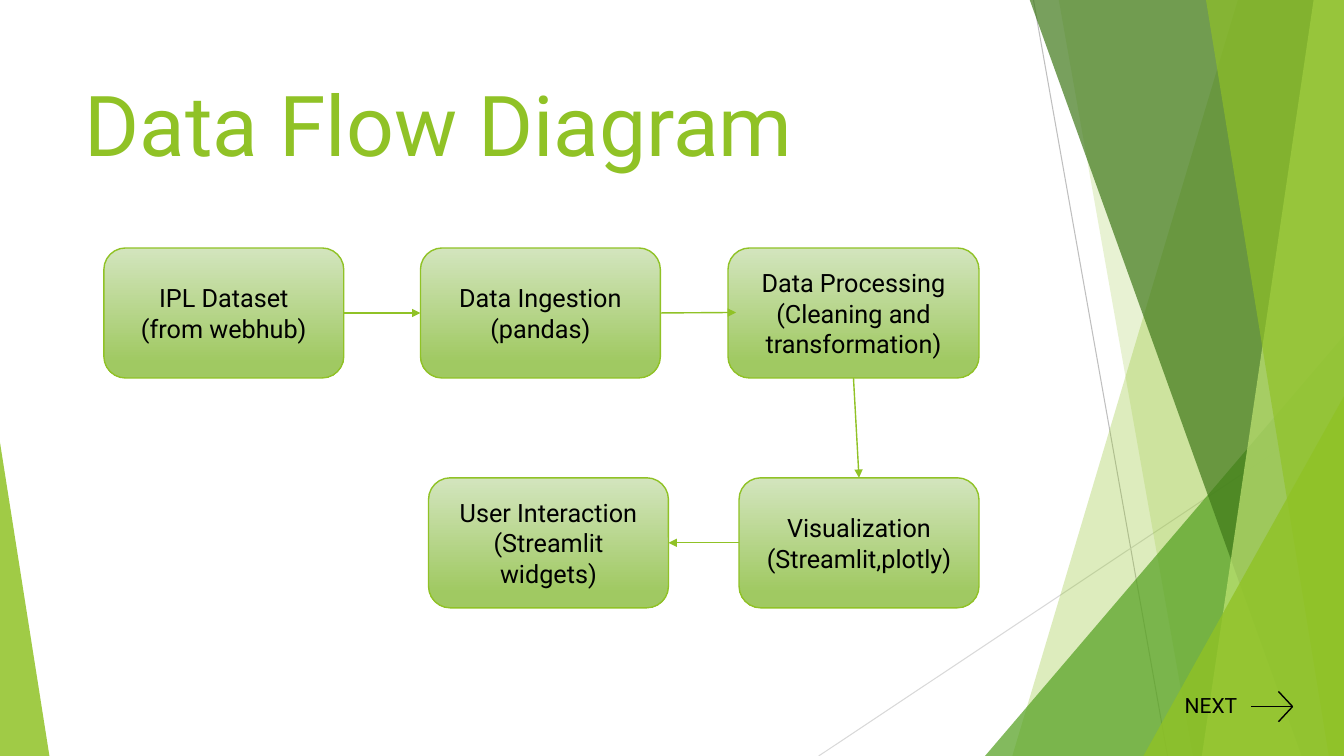
from lxml import etree
from pptx import Presentation
from pptx import util as u
from pptx.dml.color import RGBColor
from pptx.enum import shapes, text
from pptx.oxml.ns import qn

FONT = "Roboto"
GREEN = "90C226"
BLACK = "000000"
TOP, LEFT, BOTTOM, RIGHT = range(4)
SLIDE_W, SLIDE_H = 13.33, 7.5
BOX_H = 1.29
ROW_1, ROW_2 = 2.46, 4.74

GUIDE_LINES = [
    ((10.25, 0), (11.58, SLIDE_H), "BFBFBF"),
    ((SLIDE_W, 4.03), (8.12, SLIDE_H), "D9D9D9"),
]
BACK_PANELS = [(12.28, 10.04, GREEN, 30), (10.5, 11.83, GREEN, 20)]
FRONT_PANELS = [
    (10.21, 12.91, "3F7819", 70),
    (13.03, 11.92, "C0E474", 70),
    (11.96, 13.18, GREEN, 65),
]
STEPS = {
    "dataset": (1.03, ROW_1, 2.38, ["IPL Dataset", "(from webhub)"]),
    "ingestion": (4.17, ROW_1, 2.38, ["Data Ingestion", "(pandas)"]),
    "processing": (7.22, ROW_1, 2.49, ["Data Processing", "(Cleaning and transformation)"]),
    "visualization": (7.33, ROW_2, 2.38, ["Visualization", "(Streamlit,plotly)"]),
    "interaction": (4.25, ROW_2, 2.38, ["User Interaction", "(Streamlit widgets)"]),
}


def colour(value):
    return RGBColor.from_string(value)


def add_span(para, words, size, value):
    span = para.add_run()
    span.text = words
    span.font.name = FONT
    span.font.size = u.Pt(size)
    span.font.color.rgb = colour(value)


def fill_clear(shape, value, opacity):
    shape.shadow.inherit = False
    shape.line.fill.background()
    shape.fill.solid()
    shape.fill.fore_color.rgb = colour(value)
    tint = shape.fill._xPr.find(qn("a:solidFill"))[0]
    etree.SubElement(tint, qn("a:alpha")).set("val", str(opacity * 1000))


def add_panel(page, top_x, bottom_x, value, opacity):
    top = u.Inches(-0.01)
    right, bottom = u.Inches(SLIDE_W), u.Inches(SLIDE_H)
    builder = page.shapes.build_freeform(u.Inches(top_x), top)
    builder.add_line_segments(
        [(right, top), (right, bottom), (u.Inches(bottom_x), bottom)], close=True)
    fill_clear(builder.convert_to_shape(), value, opacity)


def add_corner(page, left, top, width, apex, value, opacity):
    corner = page.shapes.add_shape(
        shapes.MSO_SHAPE.ISOSCELES_TRIANGLE, u.Inches(left), u.Inches(top),
        u.Inches(width), u.Inches(SLIDE_H - top))
    corner.adjustments[0] = apex
    fill_clear(corner, value, opacity)


def add_line(page, start, end, value, width, arrow=False):
    line = page.shapes.add_connector(
        shapes.MSO_CONNECTOR.STRAIGHT, *map(u.Inches, start + end))
    line.line.color.rgb = colour(value)
    line.line.width = u.Pt(width)
    if arrow:
        etree.SubElement(line.line._get_or_add_ln(), qn("a:tailEnd")).set("type", "triangle")
    etree.SubElement(line._element.spPr, qn("a:effectLst"))
    return line


def add_step(page, left, top, width, lines):
    box = page.shapes.add_shape(
        shapes.MSO_SHAPE.ROUNDED_RECTANGLE, u.Inches(left), u.Inches(top),
        u.Inches(width), u.Inches(BOX_H))
    box.shadow.inherit = False
    box.fill.gradient()
    box.fill.gradient_angle = 270
    for stop, (position, value) in zip(
            box.fill.gradient_stops, [(0, "D3E5BE"), (0.88, "A0C962")]):
        stop.position = position
        stop.color.rgb = colour(value)
    box.line.color.rgb = colour(GREEN)
    box.line.width = u.Pt(1)
    frame = box.text_frame
    frame.word_wrap = True
    frame.vertical_anchor = text.MSO_ANCHOR.MIDDLE
    for index, words in enumerate(lines):
        para = frame.add_paragraph() if index else frame.paragraphs[0]
        para.alignment = text.PP_ALIGN.CENTER
        add_span(para, words, 18, BLACK)
    return box


def add_flow(page, start, end, begin_box, begin_side, end_box=None, end_side=None):
    arrow = add_line(page, start, end, GREEN, 1, arrow=True)
    arrow.begin_connect(begin_box, begin_side)
    if end_box is not None:
        arrow.end_connect(end_box, end_side)


def add_title(page, words):
    title = page.shapes.title
    title.left, title.top = u.Inches(0.74), u.Inches(0.67)
    title.width, title.height = u.Inches(9.4), u.Inches(1.44)
    frame = title.text_frame
    frame.word_wrap = True
    frame.auto_size = text.MSO_AUTO_SIZE.NONE
    frame.vertical_anchor = text.MSO_ANCHOR.TOP
    para = frame.paragraphs[0]
    para.alignment = text.PP_ALIGN.LEFT
    add_span(para, words, 60, GREEN)


def add_next(page):
    tip = (12.82, 7.01)
    add_line(page, (12.41, 7.01), tip, BLACK, 1)
    for y in (6.86, 7.16):
        add_line(page, (12.68, y), tip, BLACK, 1)
    label = page.shapes.add_textbox(
        u.Inches(11.71), u.Inches(6.85), u.Inches(0.83), u.Inches(0.33))
    frame = label.text_frame
    frame.word_wrap = True
    frame.margin_left = frame.margin_right = u.Inches(0.04)
    para = frame.paragraphs[0]
    para.line_spacing = 0.9
    add_span(para, "NEXT", 15, BLACK)


def add_backdrop(page):
    for start, end, value in GUIDE_LINES:
        add_line(page, start, end, value, 0.75)
    for panel in BACK_PANELS:
        add_panel(page, *panel)
    add_corner(page, 9.77, 3.33, 3.56, 1, "54A021", 72)
    for panel in FRONT_PANELS:
        add_panel(page, *panel)
    add_corner(page, 11.34, 3.93, 1.99, 1, GREEN, 80)
    add_corner(page, 0, 4.39, 0.49, 0, GREEN, 85)


def main():
    deck = Presentation()
    deck.slide_width, deck.slide_height = u.Inches(SLIDE_W), u.Inches(SLIDE_H)
    page = deck.slides.add_slide(deck.slide_layouts[5])
    add_backdrop(page)
    add_next(page)
    add_title(page, "Data Flow Diagram")
    boxes = {name: add_step(page, *step) for name, step in STEPS.items()}
    add_flow(page, (3.41, 3.1), (4.17, 3.1), boxes["dataset"], RIGHT, boxes["ingestion"], LEFT)
    add_flow(page, (6.55, 3.1), (7.3, 3.1), boxes["ingestion"], RIGHT)
    add_flow(page, (8.47, 3.75), (8.52, 4.74),
             boxes["processing"], BOTTOM, boxes["visualization"], TOP)
    add_flow(page, (7.33, 5.39), (6.63, 5.39),
             boxes["visualization"], LEFT, boxes["interaction"], RIGHT)
    deck.save("out.pptx")


if __name__ == "__main__":
    main()
